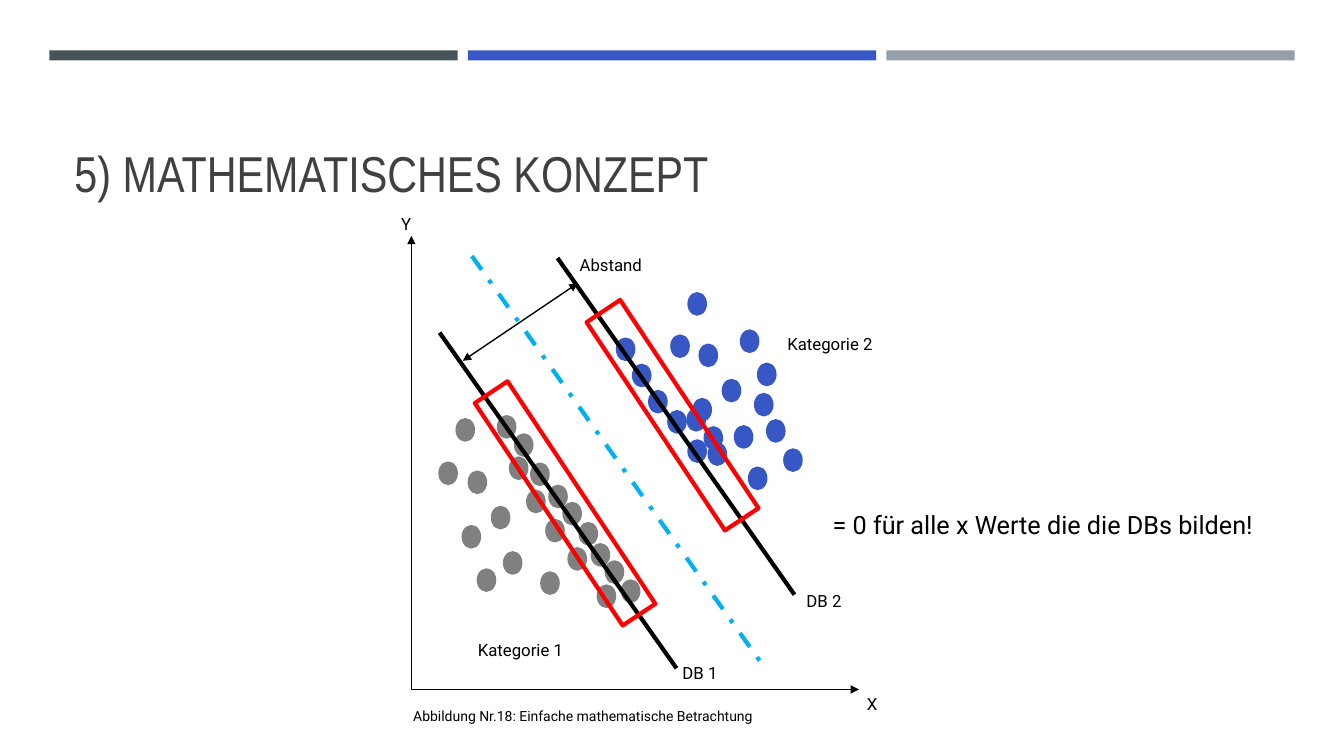
"""Build the slide on the mathematical concept of two decision boundaries."""
from lxml.etree import SubElement
from pptx import Presentation
from pptx.dml.color import RGBColor
from pptx.enum.dml import MSO_LINE
from pptx.enum.shapes import MSO_CONNECTOR as CONNECTOR, MSO_SHAPE as SHAPE
from pptx.enum.text import MSO_ANCHOR as ANCHOR
from pptx.oxml.ns import qn
from pptx.util import Inches, Pt

BLACK, BLUE, GREY, RED, CYAN = "000000", "3758C4", "808080", "FF0000", "00B0F0"
DOT_WIDTH, DOT_HEIGHT = 0.17, 0.21

BARS = [(0.49, "465359"), (4.64, BLUE), (8.79, "969FA7")]

CATEGORY_1 = [
    (4.94, 4.13), (5.11, 4.31), (5.27, 4.6), (5.45, 4.82), (5.59, 4.99),
    (5.75, 5.19), (5.87, 5.4), (6.01, 5.57), (6.17, 5.76), (4.53, 4.16),
    (4.36, 4.59), (4.88, 5.03), (5.06, 4.54), (5.23, 4.87), (5.42, 5.16),
    (5.93, 5.81), (4.65, 4.68), (4.59, 5.22), (5, 5.48), (4.74, 5.65),
    (5.64, 5.44), (5.37, 5.68),
]
CATEGORY_2 = [
    (6.12, 3.36), (6.28, 3.62), (6.44, 3.88), (6.63, 4.08), (6.82, 4.06),
    (6.99, 4.24), (6.83, 4.37), (6.83, 2.91), (6.66, 3.33), (7.17, 3.77),
    (7.35, 3.28), (7.52, 3.61), (7.49, 3.91), (7.78, 4.46), (6.94, 3.42),
    (6.88, 3.96), (7.29, 4.23), (7.03, 4.4), (7.61, 4.17), (7.43, 4.64),
]

LABELS = [
    ("Kategorie 1", 4.64, 6.3, 1.55),
    ("Y", 3.88, 2.07, 0.32),
    ("X", 8.5, 6.83, 0.36),
    ("Kategorie 2", 7.71, 3.26, 1.55),
    ("Abstand", 5.65, 2.48, 1.55),
    ("DB 2", 7.9, 5.81, 1.55),
    ("DB 1", 6.67, 6.53, 1.55),
]


def color(hex_value):
    """Return the colour for a hex string."""
    return RGBColor.from_string(hex_value)


def apply_format(target, values):
    """Set every attribute in a dict of format values."""
    for name, value in values.items():
        setattr(target, name, value)


def add_block(slide, kind, box, fill=None, line=None, width=1.75, rotation=0):
    """Add a preset shape with an optional fill and outline."""
    shape = slide.shapes.add_shape(kind, *map(Inches, box))
    shape.shadow.inherit = False
    shape.rotation = rotation
    for part, hex_value in ((shape.fill, fill), (shape.line.fill, line)):
        if hex_value:
            part.solid()
            part.fore_color.rgb = color(hex_value)
        else:
            part.background()
    if line:
        shape.line.width = Pt(width)


def add_dots(slide, positions, hex_value):
    """Add the data points of one category."""
    for left, top in positions:
        add_block(slide, SHAPE.OVAL, (left, top, DOT_WIDTH, DOT_HEIGHT), hex_value, hex_value)


def add_line(slide, start, end, width, hex_value=BLACK, dash=None, arrows=()):
    """Add a straight line with optional dashes and arrowheads."""
    connector = slide.shapes.add_connector(
        CONNECTOR.STRAIGHT, *map(Inches, (*start, *end)))
    connector.line.color.rgb = color(hex_value)
    apply_format(connector.line, {"width": Pt(width), "dash_style": dash})
    outline = connector.line._get_or_add_ln()
    for arrow in arrows:
        SubElement(outline, qn(f"a:{arrow}"), type="triangle")
    SubElement(connector._element.spPr, qn("a:effectLst"))


def add_text(slide, text, box, size, font="Roboto", hex_value=BLACK,
             anchor=ANCHOR.TOP, spacing=1.0):
    """Add a wrapped text box with one paragraph."""
    frame = slide.shapes.add_textbox(*map(Inches, box)).text_frame
    apply_format(frame, {"word_wrap": True, "vertical_anchor": anchor})
    paragraph = frame.paragraphs[0]
    paragraph.line_spacing = spacing
    run = paragraph.add_run()
    run.text = text
    apply_format(run.font, {"name": font, "size": Pt(size)})
    run.font.color.rgb = color(hex_value)


def add_diagram(slide):
    """Add the axes, data points, boundaries and labels."""
    add_dots(slide, CATEGORY_1, GREY)
    add_dots(slide, CATEGORY_2, BLUE)
    for axis_end in ((8.52, 6.84), (4.08, 2.34)):
        add_line(slide, (4.08, 6.84), axis_end, 1, arrows=["tailEnd"])
    add_line(slide, (4.68, 2.54), (7.58, 6.62), 3, CYAN, MSO_LINE.DASH_DOT)
    add_line(slide, (4.36, 3.3), (6.71, 6.63), 3)
    add_line(slide, (5.53, 2.56), (7.88, 5.9), 3)
    for text, left, top, width in LABELS:
        add_text(slide, text, (left, top, width, 0.32), 12)
    add_line(slide, (4.59, 3.58), (5.73, 2.81), 1, arrows=["headEnd", "tailEnd"])
    for box in ((5.43, 3.92, 2.48, 0.4), (4.28, 4.8, 2.65, 0.39)):
        add_block(slide, SHAPE.RECTANGLE, box, line=RED, width=3, rotation=56.4)


def main():
    """Build and save the presentation."""
    presentation = Presentation()
    apply_format(presentation, {"slide_width": Inches(13.33), "slide_height": Inches(7.5)})
    slide = presentation.slides.add_slide(presentation.slide_layouts[6])
    for left, hex_value in BARS:
        add_block(slide, SHAPE.RECTANGLE, (left, 0.5, 4.05, 0.1), hex_value)
    add_text(slide, "5) MATHEMATISCHES KONZEPT", (0.64, 0.77, 12.06, 1.3), 36,
             "Arial Narrow", "404040", ANCHOR.BOTTOM, 0.9)
    add_diagram(slide)
    add_text(slide, "= 0 für alle x Werte die die DBs bilden!", (8.16, 5, 5.11, 0.4), 18)
    add_text(slide, "Abbildung Nr.18: Einfache mathematische Betrachtung",
             (4, 6.97, 7.22, 0.27), 10)
    presentation.save("out.pptx")


if __name__ == "__main__":
    main()
